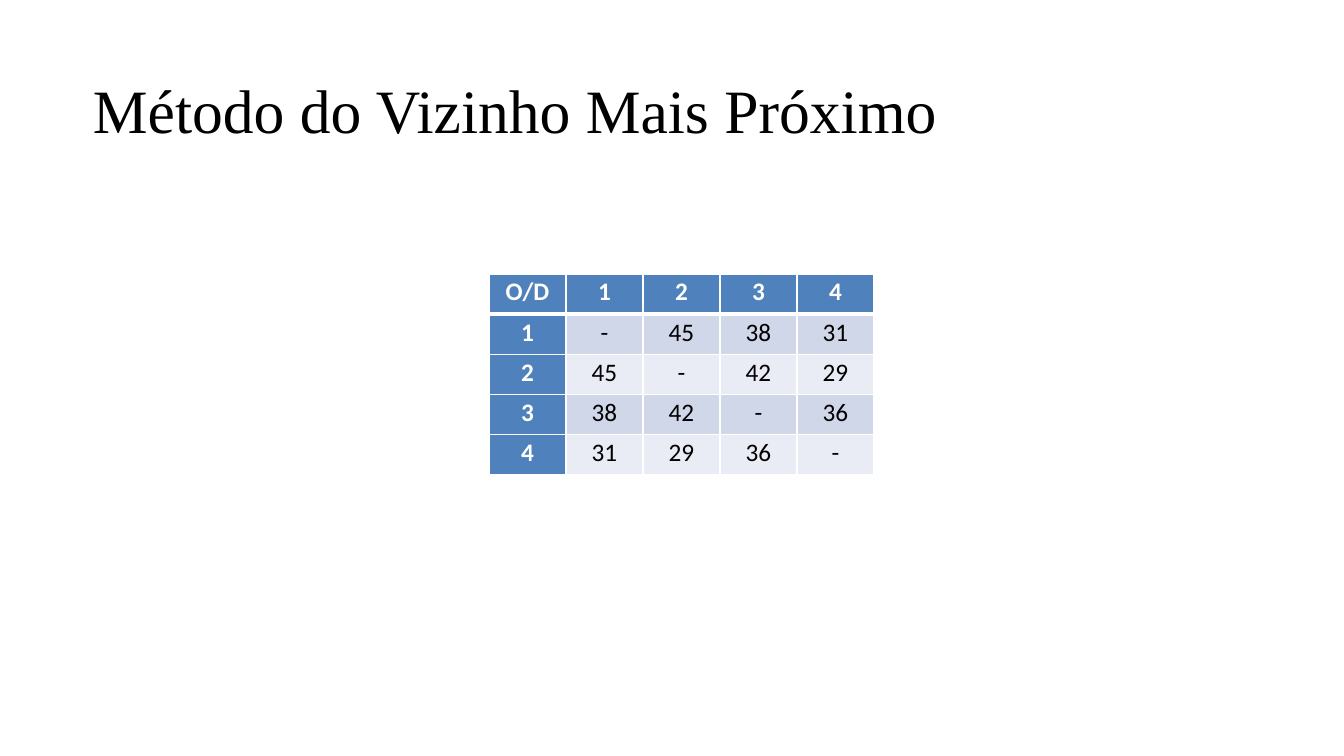
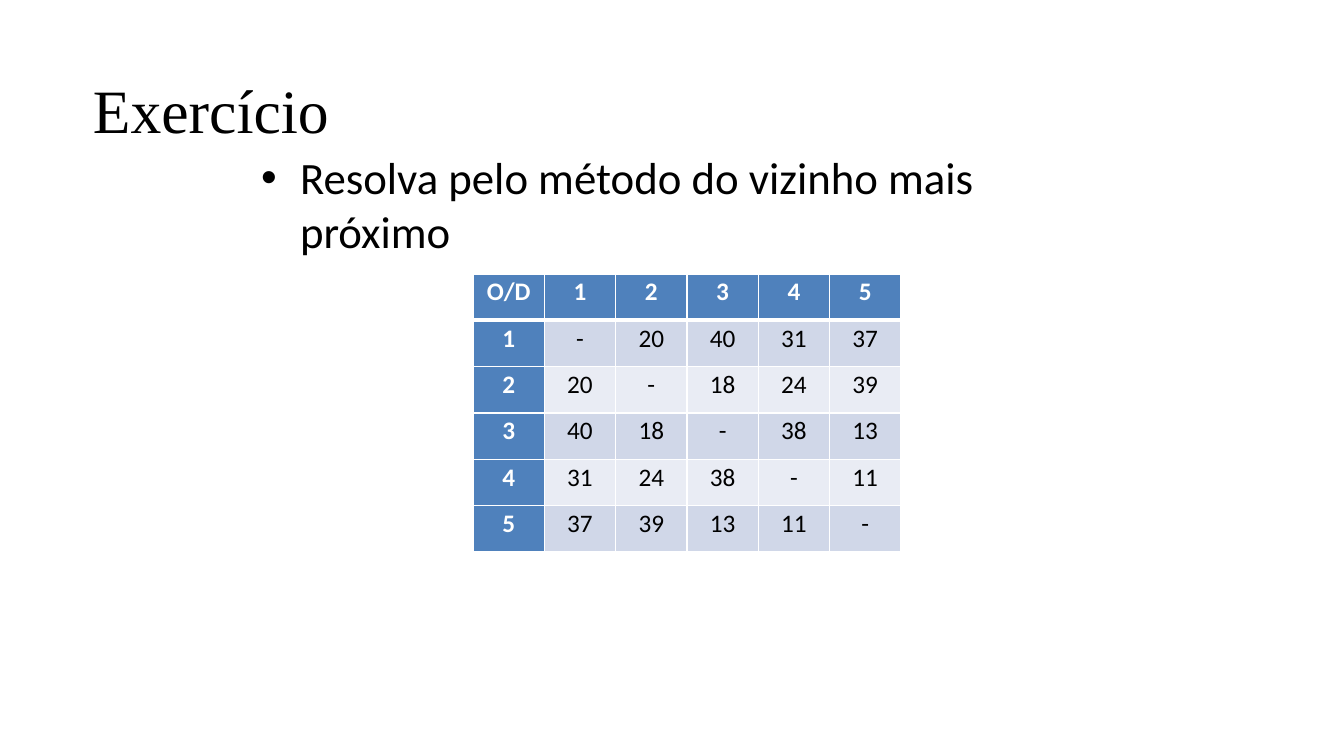
from lxml import etree
from pptx import Presentation
from pptx import util as u
from pptx.dml import color
from pptx.enum import text
from pptx.oxml import ns

SCALE = 12192000 / 1344
WHITE, BLACK = "FFFFFF", "000000"
HEADER, BAND_DARK, BAND_LIGHT = "4F81BC", "D0D7E8", "E9ECF4"
TITLE_BOX = (93, 40, 1159, 146)


def px(length):
    """Turn pixels into EMU."""
    return u.Emu(round(length * SCALE))


def rgb(code):
    """Turn a hex string into a colour."""
    return color.RGBColor.from_string(code)


def add_child(parent, tag, **attributes):
    """Append a drawing element with the given attributes."""
    child = etree.SubElement(parent, ns.qn(tag))
    for name, value in attributes.items():
        child.set(name, str(value))
    return child


def write(frame, words, font="Calibri", size=18, ink=BLACK, bold=False,
          align=text.PP_ALIGN.LEFT, anchor=text.MSO_ANCHOR.TOP,
          spacing=1.0, top=1, indent=0):
    """Write one formatted paragraph, bulleted when an indent is given."""
    frame.word_wrap = True
    frame.vertical_anchor = anchor
    frame.margin_left = frame.margin_right = frame.margin_bottom = 0
    frame.margin_top = px(top)
    para = frame.paragraphs[0]
    para.alignment = align
    para.line_spacing = spacing
    if indent:
        settings = para._p.get_or_add_pPr()
        settings.set("marL", str(px(indent)))
        settings.set("indent", str(-px(indent)))
        add_child(settings, "a:buFont", typeface="Arial")
        add_child(settings, "a:buChar", char="•")
    span = para.add_run()
    span.text = words
    span.font.name = font
    span.font.size = u.Pt(size)
    span.font.bold = bold
    span.font.color.rgb = rgb(ink)


def add_text(page, area, words, **style):
    """Add a text box over the given area."""
    box = page.shapes.add_textbox(*map(px, area))
    write(box.text_frame, words, **style)


def add_title(page, words):
    """Add the slide title."""
    add_text(page, TITLE_BOX, words, font="Times New Roman", size=44,
             anchor=text.MSO_ANCHOR.MIDDLE, spacing=0.9)


def add_border(cell, side, points):
    """Draw a white border on one side of a cell."""
    settings = cell._tc.get_or_add_tcPr()
    line = add_child(settings, f"a:ln{side}", w=u.Pt(points))
    add_child(add_child(line, "a:solidFill"), "a:srgbClr", val=WHITE)


def distance_rows(upper):
    """Build the symmetric table rows from the distances above the diagonal."""
    count = len(upper) + 1
    rows = [["O/D", *range(1, count + 1)]]
    for i in range(count):
        values = ["-" if i == j else upper[min(i, j)][abs(i - j) - 1]
                  for j in range(count)]
        rows.append([i + 1, *values])
    return rows


def add_distance_table(page, area, upper):
    """Add a distance table with equal rows and columns in the given area."""
    rows = distance_rows(upper)
    count = len(rows)
    table = page.shapes.add_table(count, count, *map(px, area)).table
    table.horz_banding = False
    for column in table.columns:
        column.width = px(area[2] / count)
    for i, values in enumerate(rows):
        table.rows[i].height = px(area[3] / count)
        for j, value in enumerate(values):
            cell = table.cell(i, j)
            heading = i == 0 or j == 0
            write(cell.text_frame, str(value), bold=heading,
                  ink=WHITE if heading else BLACK,
                  align=text.PP_ALIGN.CENTER)
            cell.margin_left = cell.margin_right = cell.margin_bottom = 0
            cell.margin_top = px(3)
            for side, points in (("L", 1), ("R", 1), ("T", 3 if i == 1 else 1),
                                 ("B", 3 if i == 0 else 1)):
                add_border(cell, side, points)
            cell.fill.solid()
            band = BAND_DARK if i % 2 else BAND_LIGHT
            cell.fill.fore_color.rgb = rgb(HEADER if heading else band)


def add_method_slide(page):
    """Build the slide with the example of the method."""
    add_title(page, "Método do Vizinho Mais Próximo")
    add_distance_table(page, (489, 274, 385, 201),
                       [[45, 38, 31], [42, 29], [36]])


def add_exercise_slide(page):
    """Build the slide with the exercise."""
    add_text(page, (261, 149, 720, 110),
             "Resolva pelo método do vizinho mais próximo", size=32, indent=39)
    add_title(page, "Exercício")
    add_distance_table(page, (473, 274, 428, 278),
                       [[20, 40, 31, 37], [18, 24, 39], [38, 13], [11]])


def main():
    """Build and save the deck."""
    deck = Presentation()
    deck.slide_width, deck.slide_height = px(1344), px(756)
    for build in (add_method_slide, add_exercise_slide):
        build(deck.slides.add_slide(deck.slide_layouts[6]))
    deck.save("out.pptx")


if __name__ == "__main__":
    main()
